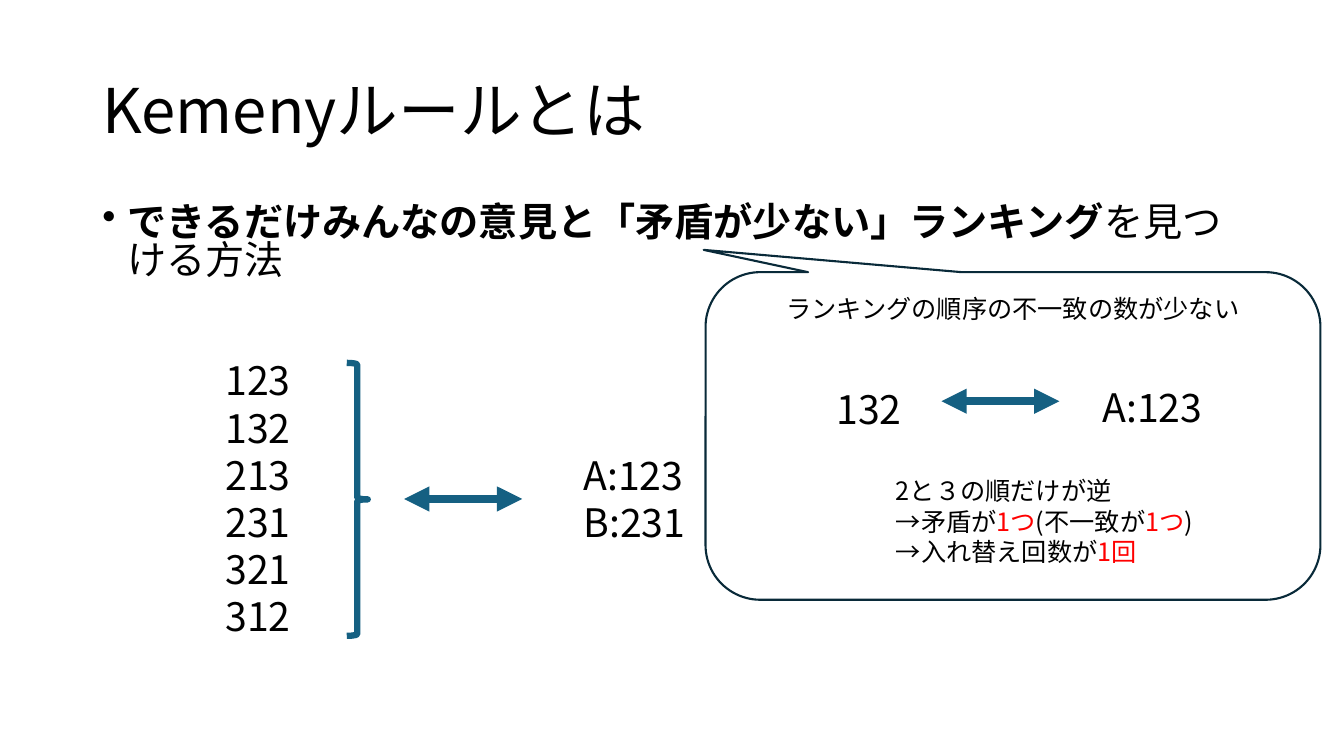
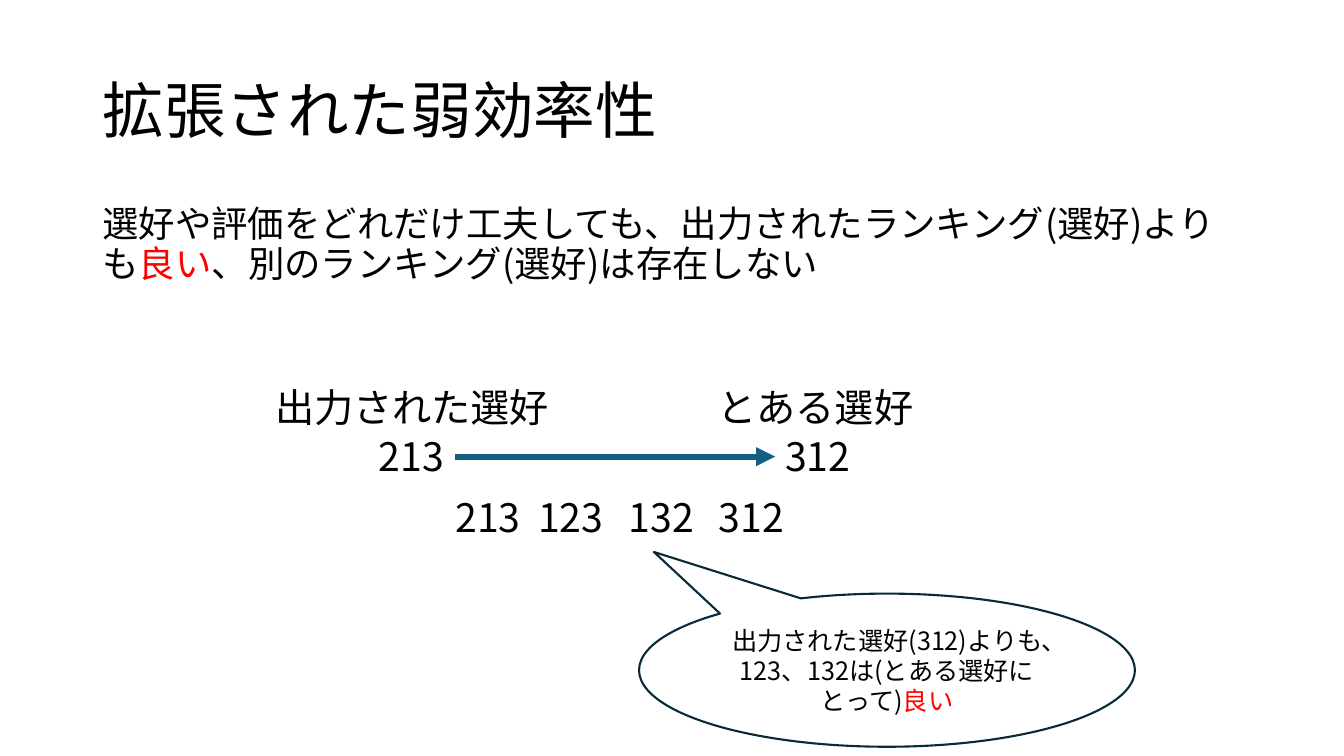
"""Build two slides on the Kemeny rule and extended weak efficiency."""
from dataclasses import dataclass
from functools import partial

from lxml import etree
from pptx import Presentation
from pptx import util as u
from pptx.dml.color import RGBColor
from pptx.enum import shapes, text
from pptx.oxml.ns import qn


@dataclass(frozen=True)
class Theme:
    font: str = "Noto Sans CJK JP"
    ink: RGBColor = RGBColor(0, 0, 0)
    paper: RGBColor = RGBColor(255, 255, 255)
    accent: RGBColor = RGBColor(0x15, 0x60, 0x82)
    outline: RGBColor = RGBColor(0x09, 0x2A, 0x39)
    emphasis: RGBColor = RGBColor(255, 0, 0)
    title: int = 44
    ranking: int = 28
    statement: int = 26
    note: int = 18


THEME = Theme()
LEFT, WIDTH = 66, 828
RANKING_HEIGHT = 41


def red(words):
    return words, {"color": THEME.emphasis}


def bold(words):
    return words, {"bold": True}


def points(*lengths):
    return [u.Pt(length) for length in lengths]


def write(frame, paragraphs, size, align=text.PP_ALIGN.LEFT, anchor=text.MSO_ANCHOR.TOP,
          spacing=None, before=0):
    """Fill a frame with paragraphs, each a list of strings or marked runs."""
    frame.word_wrap = True
    frame.vertical_anchor = anchor
    for index, runs in enumerate(paragraphs):
        paragraph = frame.add_paragraph() if index else frame.paragraphs[0]
        paragraph.alignment = align
        paragraph.space_before = u.Pt(before)
        if spacing:
            paragraph.line_spacing = spacing
        font = paragraph.font
        font.name, font.size = THEME.font, u.Pt(size)
        font.color.rgb = THEME.ink
        east_asian = etree.SubElement(font._element, qn("a:ea"))
        east_asian.set("typeface", THEME.font)
        for part in runs:
            words, marks = (part, {}) if isinstance(part, str) else part
            run = paragraph.add_run()
            run.text = words
            if "color" in marks:
                run.font.color.rgb = marks["color"]
            if "bold" in marks:
                run.font.bold = marks["bold"]


def add_titled_slide(deck, heading):
    slide = deck.slides.add_slide(deck.slide_layouts[5])
    title = slide.shapes.title
    title.left, title.top, title.width, title.height = points(LEFT, 29, WIDTH, 104)
    write(title.text_frame, [[heading]], THEME.title, anchor=text.MSO_ANCHOR.MIDDLE, spacing=0.9)
    title.text_frame.auto_size = text.MSO_AUTO_SIZE.NONE
    return slide


def add_text(slide, box, paragraphs, size, **layout):
    frame = slide.shapes.add_textbox(*points(*box)).text_frame
    write(frame, paragraphs, size, **layout)
    return frame


def add_statement(slide, runs, size, spacing):
    box = (LEFT, 144, WIDTH, 68)
    return add_text(slide, box, [runs], size, spacing=spacing, before=10)


def add_bullet(paragraph):
    properties = paragraph._p.get_or_add_pPr()
    properties.set("marL", str(u.Pt(18)))
    properties.set("indent", str(-u.Pt(18)))
    bullet = etree.Element(qn("a:buChar"), char="•")
    properties.find(qn("a:defRPr")).addprevious(bullet)


def add_rankings(slide, left, top, width, *rankings):
    box = (left, top, width, RANKING_HEIGHT + 34 * (len(rankings) - 1))
    add_text(slide, box, [[ranking] for ranking in rankings], THEME.ranking)


def add_shape(slide, kind, box, color, weight):
    shape = slide.shapes.add_shape(kind, *points(*box))
    shape.shadow.inherit = False
    shape.fill.background()
    shape.line.color.rgb = color
    shape.line.width = u.Pt(weight)
    return shape


def add_callout(slide, kind, box, adjustments, runs, anchor):
    callout = add_shape(slide, kind, box, THEME.outline, 1.5)
    for index, value in enumerate(adjustments):
        callout.adjustments[index] = value
    write(callout.text_frame, [runs], THEME.note, text.PP_ALIGN.CENTER, anchor)
    return callout


def add_arrow(slide, start, end, y, weight, ends=("tailEnd",)):
    arrow = slide.shapes.add_connector(shapes.MSO_CONNECTOR.STRAIGHT, *points(start, y, end, y))
    arrow.line.color.rgb = THEME.accent
    arrow.line.width = u.Pt(weight)
    line = arrow.line._get_or_add_ln()
    for end_name in ends:
        etree.SubElement(line, qn(f"a:{end_name}"), type="triangle")
    etree.SubElement(arrow._element.spPr, qn("a:effectLst"))


def build_kemeny_rule(deck):
    slide = add_titled_slide(deck, "Kemenyルールとは")
    definition = add_statement(
        slide, [bold("できるだけみんなの意見と「矛盾が少ない」ランキング"), "を見つける方法"],
        THEME.ranking, 0.8)
    add_bullet(definition.paragraphs[0])

    compare = partial(add_arrow, slide, weight=6, ends=("headEnd", "tailEnd"))
    add_rankings(slide, 154, 251.3, 71.3, "123", "132", "213", "231", "321", "312")
    add_shape(slide, shapes.MSO_SHAPE.RIGHT_BRACE, (247.7, 259.2, 15, 195), THEME.accent, 4.5)
    add_rankings(slide, 409.7, 319, 94.3, "A:123", "B:231")
    compare(288.7, 373, 356.4)

    add_callout(slide, shapes.MSO_SHAPE.ROUNDED_RECTANGULAR_CALLOUT, (504, 194.4, 439.2, 234),
                (-0.503, -0.568, 0.167), ["ランキングの順序の不一致の数が少ない"],
                text.MSO_ANCHOR.TOP)
    add_rankings(slide, 590.4, 271.4, 71.3, "132")
    add_rankings(slide, 780.5, 270, 90, "A:123")
    compare(672.5, 756.7, 286.6)
    add_text(slide, (632.9, 336.2, 237.6, 72.7), [
        ["2と３の順だけが逆"],
        ["→矛盾が", red("1つ"), "(不一致が", red("1つ"), ")"],
        ["→入れ替え回数が", red("1回")],
    ], THEME.note)


def build_weak_efficiency(deck):
    slide = add_titled_slide(deck, "拡張された弱効率性")
    add_statement(
        slide, ["選好や評価をどれだけ工夫しても、出力されたランキング(選好)よりも",
                red("良い"), "、別のランキング(選好)は存在しない"],
        THEME.statement, 0.9)

    for left, width, label in ((189.4, 217.4, "出力された選好"), (505.4, 157.7, "とある選好")):
        add_rankings(slide, left, 270, width, label)
    for left, ranking in ((263.5, "213"), (553.7, "312")):
        add_rankings(slide, left, 305.3, 62, ranking)
    add_arrow(slide, 324.7, 553.7, 326.2, 4.5)
    for left, ranking in ((318.2, "213"), (377.3, "123"), (442.1, "132"), (506.2, "312")):
        add_rankings(slide, left, 348.5, 62.6, ranking)

    callout = add_callout(
        slide, shapes.MSO_SHAPE.OVAL_CALLOUT, (456.5, 424, 354.2, 109.4), (-0.47, -0.772),
        ["出力された選好(312)よりも、123、132は(とある選好にとって)", red("良い")],
        text.MSO_ANCHOR.MIDDLE)
    callout.fill.solid()
    callout.fill.fore_color.rgb = THEME.paper


def main():
    deck = Presentation()
    deck.slide_width, deck.slide_height = points(960, 540)
    build_kemeny_rule(deck)
    build_weak_efficiency(deck)
    deck.save("out.pptx")


if __name__ == "__main__":
    main()
